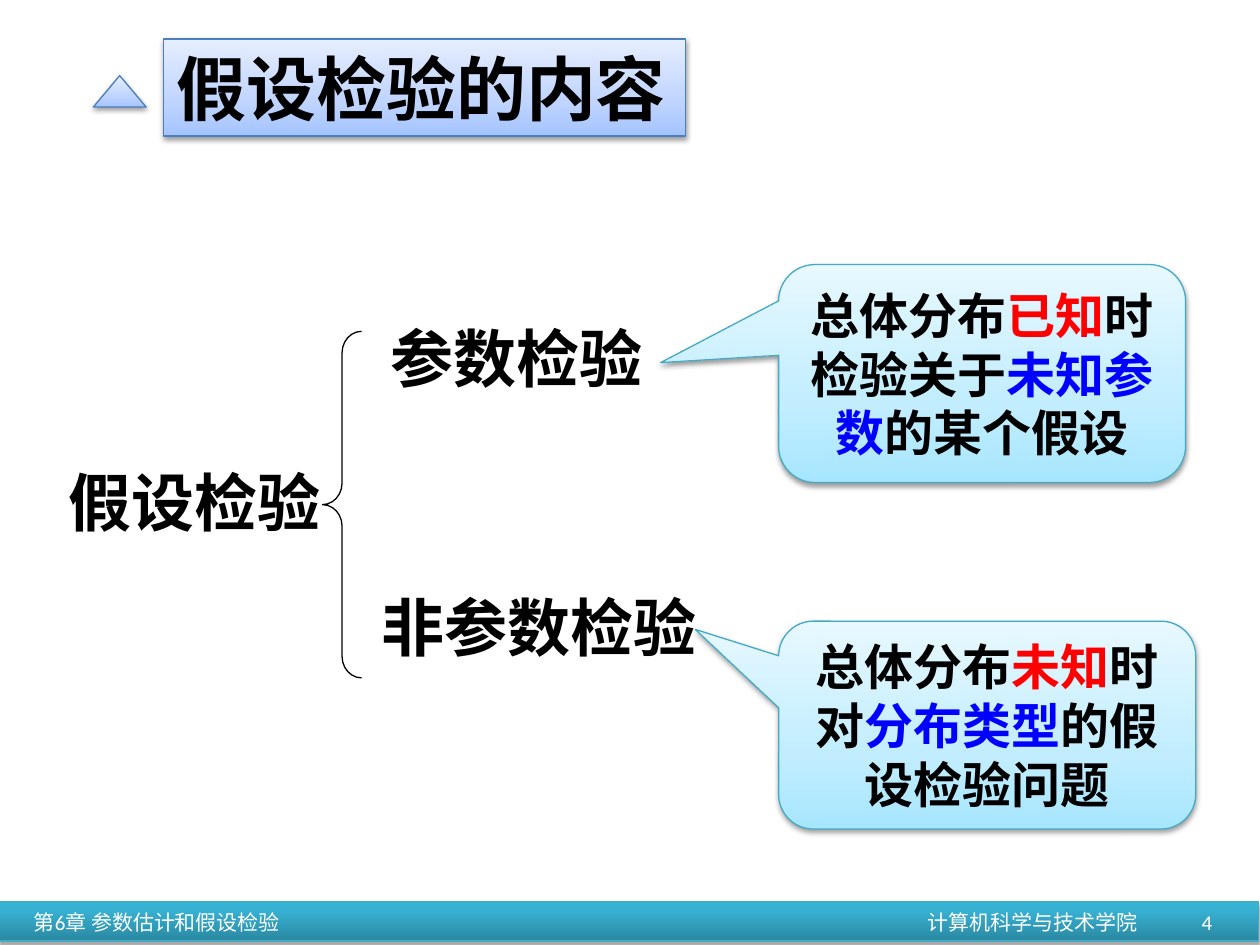
from dataclasses import dataclass

from lxml.etree import SubElement
from pptx import Presentation
from pptx.dml.color import RGBColor
from pptx.enum.shapes import MSO_SHAPE
from pptx.enum.text import MSO_ANCHOR, MSO_AUTO_SIZE, PP_ALIGN
from pptx.oxml.ns import qn
from pptx.shapes.autoshape import Shape
from pptx.slide import Slide
from pptx.text.text import TextFrame
from pptx.util import Inches, Pt

COLORS = {
    "black": "000000",
    "white": "FFFFFF",
    "red": "FF0000",
    "blue": "0000FF",
    "heading_line": "4B7EBC",
    "teal_line": "46AAC5",
}
CJK_FONT = "Noto Sans CJK SC"
SERIF = "Times New Roman"
SANS = "Calibri"


@dataclass(frozen=True)
class Box:
    left: float
    top: float
    width: float
    height: float

    def lengths(self) -> list[int]:
        return [Inches(v) for v in (self.left, self.top, self.width, self.height)]


@dataclass(frozen=True)
class Look:
    stops: tuple[tuple[int, str], ...]
    line: str
    shadow_alpha: int = 38
    shadow_distance: float = 1.6


@dataclass(frozen=True)
class Type:
    size: int
    font: str = SERIF
    color: str = "black"
    bold: bool = True


@dataclass(frozen=True)
class Label:
    text: str
    box: Box
    style: Type
    align: PP_ALIGN = PP_ALIGN.LEFT
    anchor: MSO_ANCHOR = MSO_ANCHOR.TOP


@dataclass(frozen=True)
class Callout:
    box: Box
    pointer: tuple[float, float]
    lines: tuple[tuple[tuple[str, str], ...], ...]


HEADING = Look(((0, "A4C4FF"), (35, "BFD4FF"), (100, "E6EEFF")), "heading_line")
BUBBLE = Look(((0, "A7E6FF"), (35, "C1EDFF"), (100, "E7F8FF")), "teal_line")
FOOTER = Look(((0, "2A88A2"), (80, "37B1D2"), (100, "34B4D6")), "teal_line", 35, 1.8)

HEADING_TYPE = Type(40, CJK_FONT)
TERM_TYPE = Type(36)
BUBBLE_TYPE = Type(28)
FOOTER_TYPE = Type(12, SANS, "white", False)

LABELS = (
    Label("参数检验", Box(3, 2.49, 2.2, 0.7), TERM_TYPE),
    Label("非参数检验", Box(2.93, 4.62, 2.7, 0.7), TERM_TYPE),
    Label("假设检验", Box(0.33, 3.63, 2.42, 0.7), TERM_TYPE,
          PP_ALIGN.CENTER, MSO_ANCHOR.MIDDLE),
    Label("第6章 参数估计和假设检验", Box(0.17, 7.16, 3, 0.31), FOOTER_TYPE,
          PP_ALIGN.LEFT, MSO_ANCHOR.MIDDLE),
    Label("计算机科学与技术学院", Box(6.13, 7.16, 3, 0.31), FOOTER_TYPE,
          PP_ALIGN.RIGHT, MSO_ANCHOR.MIDDLE),
    Label("4", Box(7.39, 7.12, 2.33, 0.4), FOOTER_TYPE,
          PP_ALIGN.RIGHT, MSO_ANCHOR.MIDDLE),
)

CALLOUTS = (
    Callout(Box(6.18, 2.1, 3.23, 1.73), (-0.79, -0.05), (
        (("总体分布", "black"), ("已知", "red"), ("时", "black")),
        (("检验关于", "black"), ("未知参", "blue")),
        (("数", "blue"), ("的某个假设", "black")),
    )),
    Callout(Box(6.18, 4.93, 3.31, 1.65), (-0.7, -0.46), (
        (("总体分布", "black"), ("未知", "red"), ("时", "black")),
        (("对", "black"), ("分布类型", "blue"), ("的假", "black")),
        (("设检验问题", "black"),),
    )),
)


def rgb(name: str) -> RGBColor:
    return RGBColor.from_string(COLORS[name])


def apply_look(shape: Shape, look: Look) -> None:
    shape.fill.gradient()
    shape.fill.gradient_angle = 90
    stops = shape.element.spPr.find(".//" + qn("a:gsLst"))
    for stop in list(stops):
        stops.remove(stop)
    for position, color in look.stops:
        stop = SubElement(stops, qn("a:gs"), pos=str(position * 1000))
        SubElement(stop, qn("a:srgbClr"), val=color)
    shape.line.color.rgb = rgb(look.line)
    shape.line.width = Pt(0.75)
    shape.shadow.inherit = False
    effects = shape.element.spPr.find(qn("a:effectLst"))
    shadow = SubElement(effects, qn("a:outerShdw"), blurRad=str(Pt(3.1)),
                        dist=str(Pt(look.shadow_distance)), dir="5400000",
                        rotWithShape="0")
    tint = SubElement(shadow, qn("a:srgbClr"), val=COLORS["black"])
    SubElement(tint, qn("a:alpha"), val=str(look.shadow_alpha * 1000))


def style_text(frame: TextFrame, style: Type, align: PP_ALIGN, anchor: MSO_ANCHOR) -> None:
    frame.auto_size = MSO_AUTO_SIZE.NONE
    frame.vertical_anchor = anchor
    for paragraph in frame.paragraphs:
        paragraph.alignment = align
        for run in paragraph.runs:
            run.font.name = style.font
            run.font.size = Pt(style.size)
            run.font.bold = style.bold
            run.font.color.rgb = rgb(style.color)
            run.font.language_id = None
            east_asian = SubElement(run.font._element, qn("a:ea"))
            east_asian.set("typeface", CJK_FONT)


def add_shape(slide: Slide, kind: MSO_SHAPE, box: Box, look: Look) -> Shape:
    shape = slide.shapes.add_shape(kind, *box.lengths())
    apply_look(shape, look)
    return shape


def add_heading(slide: Slide) -> None:
    title = slide.shapes.title
    title.left, title.top, title.width, title.height = Box(1.3, 0.31, 4.14, 0.77).lengths()
    apply_look(title, HEADING)
    title.text_frame.text = "假设检验的内容"
    title.text_frame.word_wrap = False
    style_text(title.text_frame, HEADING_TYPE, PP_ALIGN.LEFT, MSO_ANCHOR.MIDDLE)
    add_shape(slide, MSO_SHAPE.ISOSCELES_TRIANGLE, Box(0.74, 0.6, 0.42, 0.25), HEADING)


def add_brace(slide: Slide) -> None:
    brace = slide.shapes.add_shape(MSO_SHAPE.LEFT_BRACE, *Box(2.56, 2.63, 0.31, 2.75).lengths())
    brace.adjustments[0] = 0.55
    brace.fill.background()
    brace.line.color.rgb = rgb("black")
    brace.line.width = Pt(0.75)
    brace.shadow.inherit = False


def add_label(slide: Slide, label: Label) -> None:
    frame = slide.shapes.add_textbox(*label.box.lengths()).text_frame
    frame.text = label.text
    frame.word_wrap = True
    style_text(frame, label.style, label.align, label.anchor)


def add_callout(slide: Slide, callout: Callout) -> None:
    bubble = add_shape(slide, MSO_SHAPE.ROUNDED_RECTANGULAR_CALLOUT, callout.box, BUBBLE)
    bubble.adjustments[0], bubble.adjustments[1] = callout.pointer
    frame = bubble.text_frame
    frame.word_wrap = False
    for index, line in enumerate(callout.lines):
        paragraph = frame.add_paragraph() if index else frame.paragraphs[0]
        for text, _ in line:
            paragraph.add_run().text = text
    style_text(frame, BUBBLE_TYPE, PP_ALIGN.CENTER, MSO_ANCHOR.MIDDLE)
    for paragraph, line in zip(frame.paragraphs, callout.lines):
        for run, (_, color) in zip(paragraph.runs, line):
            run.font.color.rgb = rgb(color)


def main() -> None:
    deck = Presentation()
    deck.slide_width, deck.slide_height = Inches(10), Inches(7.5)
    slide = deck.slides.add_slide(deck.slide_layouts[5])
    add_shape(slide, MSO_SHAPE.RECTANGLE, Box(-0.01, 7.16, 10, 0.31), FOOTER)
    add_heading(slide)
    add_brace(slide)
    for label in LABELS:
        add_label(slide, label)
    for callout in CALLOUTS:
        add_callout(slide, callout)
    deck.save("out.pptx")


if __name__ == "__main__":
    main()
